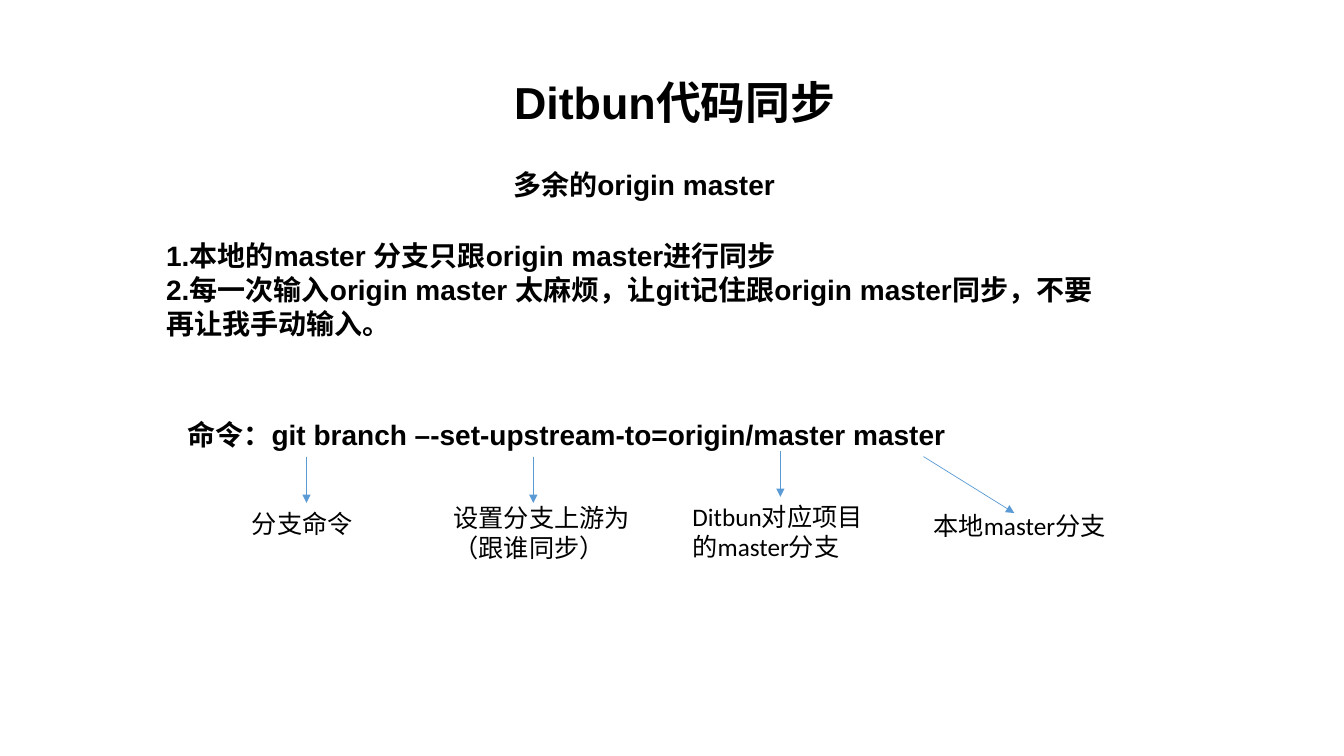
from lxml.etree import SubElement
from pptx import Presentation
from pptx.dml.color import RGBColor
from pptx.enum.shapes import MSO_CONNECTOR as CONN
from pptx.enum.text import MSO_AUTO_SIZE as FIT
from pptx.oxml.ns import qn
from pptx.util import Inches, Pt


def color(hex_str):
    """Turn a hex string into a colour."""
    return RGBColor.from_string(hex_str)


class Deck:
    """Holds the style and the current slide."""

    INK, ARROW = "000000", "5B9BD5"
    HEAD, BODY = "Arial", "Calibri"

    def __init__(self, prs):
        """Add a blank white slide."""
        self.s = prs.slides.add_slide(prs.slide_layouts[6])
        self.s.background.fill.solid()
        self.s.background.fill.fore_color.rgb = color("FFFFFF")

    def text(self, x, y, w, h, lines, size, font, bold):
        """Add a text box with one paragraph per line."""
        tf = self.s.shapes.add_textbox(*map(Inches, (x, y, w, h))).text_frame
        tf.word_wrap = True
        tf.auto_size = FIT.SHAPE_TO_FIT_TEXT
        for i, line in enumerate(lines):
            p = tf.add_paragraph() if i else tf.paragraphs[0]
            r = p.add_run()
            r.text = line
            r.font.name, r.font.size, r.font.bold = font, Pt(size), bold
            r.font.color.rgb = color(self.INK)

    def heading(self, x, y, w, h, *lines, size=20):
        """Add bold text."""
        self.text(x, y, w, h, lines, size, self.HEAD, True)

    def label(self, x, y, w, h, *lines):
        """Add an explanation of one part of the command."""
        self.text(x, y, w, h, lines, 18, self.BODY, False)

    def arrow(self, x, y, dx=0, dy=0.46):
        """Add an arrow that starts at x, y and runs by dx, dy."""
        ends = map(Inches, (x, y, x + dx, y + dy))
        sp = self.s.shapes.add_connector(CONN.STRAIGHT, *ends)
        sp.line.color.rgb = color(self.ARROW)
        sp.line.width = Pt(0.5)
        SubElement(sp.line._get_or_add_ln(), qn("a:tailEnd"), type="triangle")
        SubElement(sp._element.spPr, qn("a:effectLst"))


prs = Presentation()
prs.slide_width, prs.slide_height = Inches(13.33), Inches(7.5)
deck = Deck(prs)

deck.heading(5, 0.69, 3.72, 0.64, "Ditbun代码同步", size=32)
deck.heading(4.99, 1.61, 3.72, 0.44, "多余的origin master")
deck.heading(1.55, 2.32, 9.6, 1.11,
             "1.本地的master 分支只跟origin master进行同步",
             "2.每一次输入origin master 太麻烦，让git记住跟origin master同步，"
             "不要再让我手动输入。")
deck.heading(1.76, 4.09, 8.46, 0.44,
             "命令：git branch –-set-upstream-to=origin/master master")

deck.label(2.4, 4.99, 1.29, 0.4, "分支命令")
deck.label(4.4, 4.93, 2.13, 0.71, "设置分支上游为", "（跟谁同步）")
deck.label(6.77, 4.92, 1.94, 0.71, "Ditbun对应项目的master分支")
deck.label(9.16, 5.01, 2.13, 0.4, "本地master分支")

for x, y in ((3.04, 4.53), (5.29, 4.53), (7.74, 4.47)):
    deck.arrow(x, y)
deck.arrow(9.16, 4.53, 0.9, 0.56)

prs.save("out.pptx")
